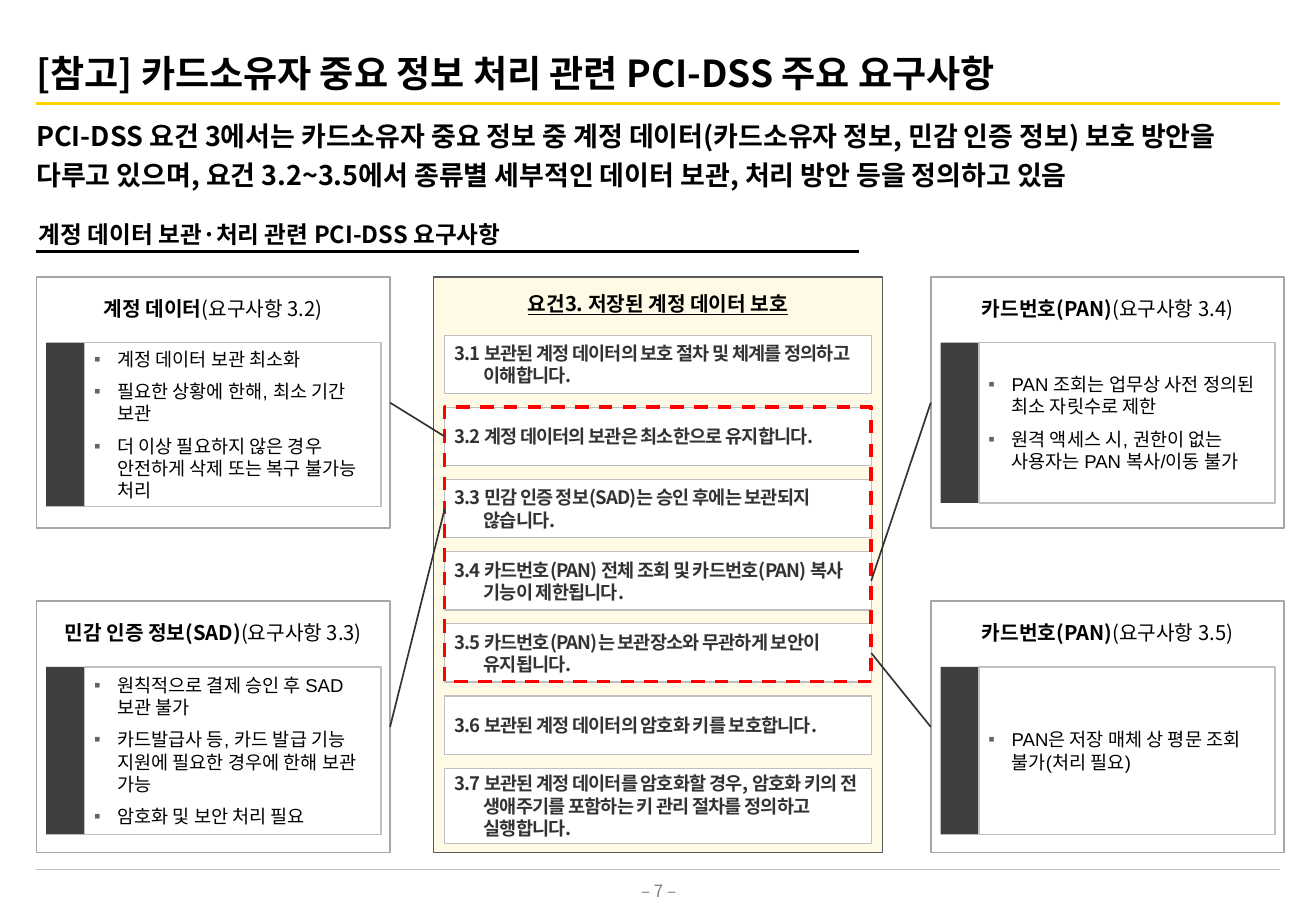
import pptx
import pptx.util
import pptx.dml.color
import pptx.enum.dml
import pptx.enum.shapes
import pptx.enum.text
import pptx.oxml.ns
import lxml.etree

HUES = {
    "black": "000000", "white": "FFFFFF", "text": "333333", "dark": "3F3F41",
    "mark": "646464", "page": "808080", "edge": "A6A6A6", "pale": "BFBFBF",
    "frame": "595959", "cream": "FFF6CC", "gold": "FFD200", "red": "FF0000",
}
NOTO, ARIAL = "Noto Sans CJK KR", "Arial"
LEFT, CENTER = pptx.enum.text.PP_ALIGN.LEFT, pptx.enum.text.PP_ALIGN.CENTER
TOP, MIDDLE = pptx.enum.text.MSO_ANCHOR.TOP, pptx.enum.text.MSO_ANCHOR.MIDDLE


def hue(name):
    return pptx.dml.color.RGBColor.from_string(HUES[name])


def add_tag(node, tag, **attrs):
    return lxml.etree.SubElement(node, pptx.oxml.ns.qn(tag), attrs)


class Board:
    """Draws on one slide; lengths are cells of a grid of 108.3 by 75."""

    def __init__(self):
        self.deck = pptx.Presentation()
        self.deck.slide_width = pptx.util.Inches(10.83)
        self.deck.slide_height = pptx.util.Inches(7.5)
        self.slide = self.deck.slides.add_slide(self.deck.slide_layouts[6])
        self.col = self.deck.slide_width / 108.3
        self.row = self.deck.slide_height / 75

    def place(self, x, y, w, h):
        return (round(x * self.col), round(y * self.row),
                round(w * self.col), round(h * self.row))

    def style(self, run, size, color="black", bold=True, face=NOTO, track=0):
        font = run.font
        font.size, font.bold, font.name = pptx.util.Pt(size), bold, face
        font.color.rgb = hue(color)
        add_tag(run._r.get_or_add_rPr(), "a:ea", typeface=NOTO)
        if track:
            run._r.get_or_add_rPr().set("spc", str(track))

    def fill_text(self, shape, lines, size, align=LEFT, anchor=TOP, pad=(0, 0),
                  hang=0, space=None, mark=None, gap=0, **look):
        frame = shape.text_frame
        frame.text = "\n".join(lines)
        frame.word_wrap, frame.vertical_anchor = True, anchor
        frame.margin_left = frame.margin_right = round(pad[0] * self.col)
        frame.margin_top = frame.margin_bottom = round(pad[1] * self.row)
        for num, para in enumerate(frame.paragraphs):
            para.alignment = align
            if space:
                para.line_spacing = space
            if gap:
                para.space_after = pptx.util.Pt(gap)
                if num:
                    para.space_before = pptx.util.Pt(gap)
            props = para._p.get_or_add_pPr()
            if hang:
                props.set("marL", str(round(hang * self.col)))
                props.set("indent", str(-round(hang * self.col)))
            if mark:
                add_tag(add_tag(props, "a:buClr"), "a:srgbClr", val=HUES["mark"])
                add_tag(props, "a:buFont", typeface=ARIAL)
                add_tag(props, "a:buChar", char=mark)
            for run in para.runs:
                self.style(run, size, **look)

    def label(self, spot, text, size, **look):
        box = self.slide.shapes.add_textbox(*self.place(*spot))
        self.fill_text(box, [text], size, **look)

    def box(self, spot, fill=None, line=None, width=1.0, alpha=None, dash=False):
        kind = pptx.enum.shapes.MSO_SHAPE.RECTANGLE
        shape = self.slide.shapes.add_shape(kind, *self.place(*spot))
        shape.shadow.inherit = False
        if fill:
            shape.fill.solid()
            shape.fill.fore_color.rgb = hue(fill)
        else:
            shape.fill.background()
        if alpha:
            tint = shape._element.spPr.find(".//" + pptx.oxml.ns.qn("a:srgbClr"))
            add_tag(tint, "a:alpha", val=str(alpha * 1000))
        if line:
            shape.line.color.rgb = hue(line)
            shape.line.width = pptx.util.Pt(width)
        else:
            shape.line.fill.background()
        if dash:
            shape.line.dash_style = pptx.enum.dml.MSO_LINE.DASH
        return shape

    def rule(self, x1, y1, x2, y2, color, width):
        kind = pptx.enum.shapes.MSO_CONNECTOR.STRAIGHT
        ends = self.place(x1, y1, x2, y2)
        line = self.slide.shapes.add_connector(kind, *ends)
        line.line.color.rgb = hue(color)
        line.line.width = pptx.util.Pt(width)
        add_tag(line._element.spPr, "a:effectLst")
        return line

    def link(self, first, side, last, end):
        line = self.rule(0, 0, 0, 0, "text", 1)
        line.begin_connect(first, side)
        line.end_connect(last, end)

    def card(self, x, y, deep, name, note, points):
        card = self.box((x, y, 29.1, 20.7), "white", "edge")
        self.fill_text(card, [name], 12, align=CENTER, pad=(1.6, 1.6))
        run = card.text_frame.paragraphs[0].add_run()
        run.text = note
        self.style(run, 12, bold=False)
        self.box((x + 0.8, y + 5.4, 3.1, deep), "dark")
        panel = self.box((x + 3.95, y + 5.4, 24.4, deep), "white", "pale")
        self.fill_text(panel, points, 11, anchor=MIDDLE, pad=(0.8, 0.8), hang=1.9,
                       mark="▪", gap=3, bold=False, face=ARIAL)
        return card


RULES = [
    "3.1 보관된 계정 데이터의 보호 절차 및 체계를 정의하고 이해합니다.",
    "3.2 계정 데이터의 보관은 최소한으로 유지합니다.",
    "3.3 민감 인증 정보(SAD)는 승인 후에는 보관되지 않습니다.",
    "3.4 카드번호(PAN) 전체 조회 및 카드번호(PAN) 복사 기능이 제한됩니다.",
    "3.5 카드번호(PAN)는 보관장소와 무관하게 보안이 유지됩니다.",
    "3.6 보관된 계정 데이터의 암호화 키를 보호합니다.",
    "3.7 보관된 계정 데이터를 암호화할 경우, 암호화 키의 전 생애주기를 포함하는 "
    "키 관리 절차를 정의하고 실행합니다.",
]
WEST, EAST, UPPER, LOWER = 3, 76.6, 22.8, 49.5
# Left, top, panel height, name, note, points; in the order of rules 3.2 to 3.5
CARDS = [
    (WEST, UPPER, 13.5, "계정 데이터", "(요구사항 3.2)",
     ["계정 데이터 보관 최소화", "필요한 상황에 한해, 최소 기간 보관",
      "더 이상 필요하지 않은 경우 안전하게 삭제 또는 복구 불가능 처리"]),
    (WEST, LOWER, 13.8, "민감 인증 정보(SAD)", "(요구사항 3.3)",
     ["원칙적으로 결제 승인 후 SAD 보관 불가",
      "카드발급사 등, 카드 발급 기능 지원에 필요한 경우에 한해 보관 가능",
      "암호화 및 보안 처리 필요"]),
    (EAST, UPPER, 13.2, "카드번호(PAN)", "(요구사항 3.4)",
     ["PAN 조회는 업무상 사전 정의된 최소 자릿수로 제한",
      "원격 액세스 시, 권한이 없는 사용자는 PAN 복사/이동 불가"]),
    (EAST, LOWER, 13.8, "카드번호(PAN)", "(요구사항 3.5)",
     ["PAN은 저장 매체 상 평문 조회 불가(처리 필요)"]),
]


def main():
    board = Board()

    # Title, lead and section heading
    board.rule(3, 8.5, 105.3, 8.5, "gold", 1.5)
    board.label((3, 4.1, 102.4, 3.7),
                "[참고] 카드소유자 중요 정보 처리 관련 PCI-DSS 주요 요구사항",
                22, anchor=MIDDLE)
    board.label((3, 9.3, 102.4, 8.1),
                "PCI-DSS 요건 3에서는 카드소유자 중요 정보 중 계정 데이터(카드소유자 정보, "
                "민감 인증 정보) 보호 방안을 다루고 있으며, 요건 3.2~3.5에서 종류별 "
                "세부적인 데이터 보관, 처리 방안 등을 정의하고 있음", 16, space=1.2)
    board.label((2.2, 17.6, 70.4, 3.4),
                "계정 데이터 보관·처리 관련 PCI-DSS 요구사항", 14, pad=(1, 0.5))
    board.rule(3, 20.7, 70.7, 20.7, "black", 1.75)

    # Middle column of rules
    frame = board.box((35.7, UPPER, 36.9, 47.4), "cream", "frame", 0.75, alpha=50)
    board.fill_text(frame, ["요건3. 저장된 계정 데이터 보호"], 12, align=CENTER,
                    pad=(0.4, 1.2))
    frame.text_frame.paragraphs[0].runs[0].font.underline = True
    items = []
    for num, text in enumerate(RULES):
        high = 6.2 if num == len(RULES) - 1 else 4.8
        item = board.box((36.6, 27.6 + 5.94 * num, 35.1, high), "white", "pale", 0.75)
        board.fill_text(item, [text], 11, anchor=MIDDLE, pad=(0.8, 0), hang=2.4,
                        color="text", track=-50)
        items.append(item)
    board.box((36.6, 33.5, 35.1, 22.6), line="red", width=2, dash=True)

    # Side cards, each joined to its rule
    for item, spec in zip(items[1:], CARDS):
        card = board.card(*spec)
        if spec[0] == WEST:
            board.link(item, 1, card, 3)
        else:
            board.link(card, 1, item, 3)

    # Footer
    board.rule(3, 71.6, 105.3, 71.6, "pale", 0.5)
    board.label((50.1, 72.5, 8.2, 1.7), "– 7 –", 10, align=CENTER, anchor=MIDDLE,
                color="page", bold=False)

    board.deck.save("out.pptx")


if __name__ == "__main__":
    main()
